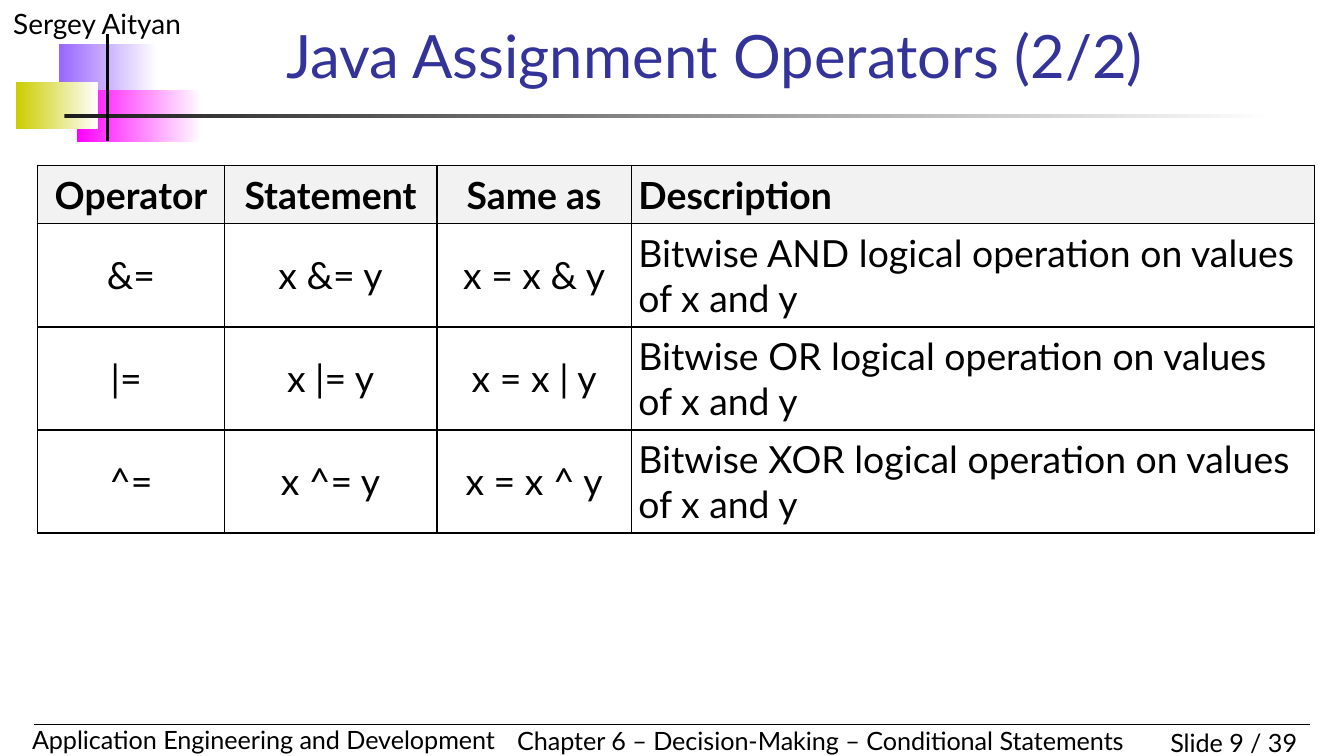
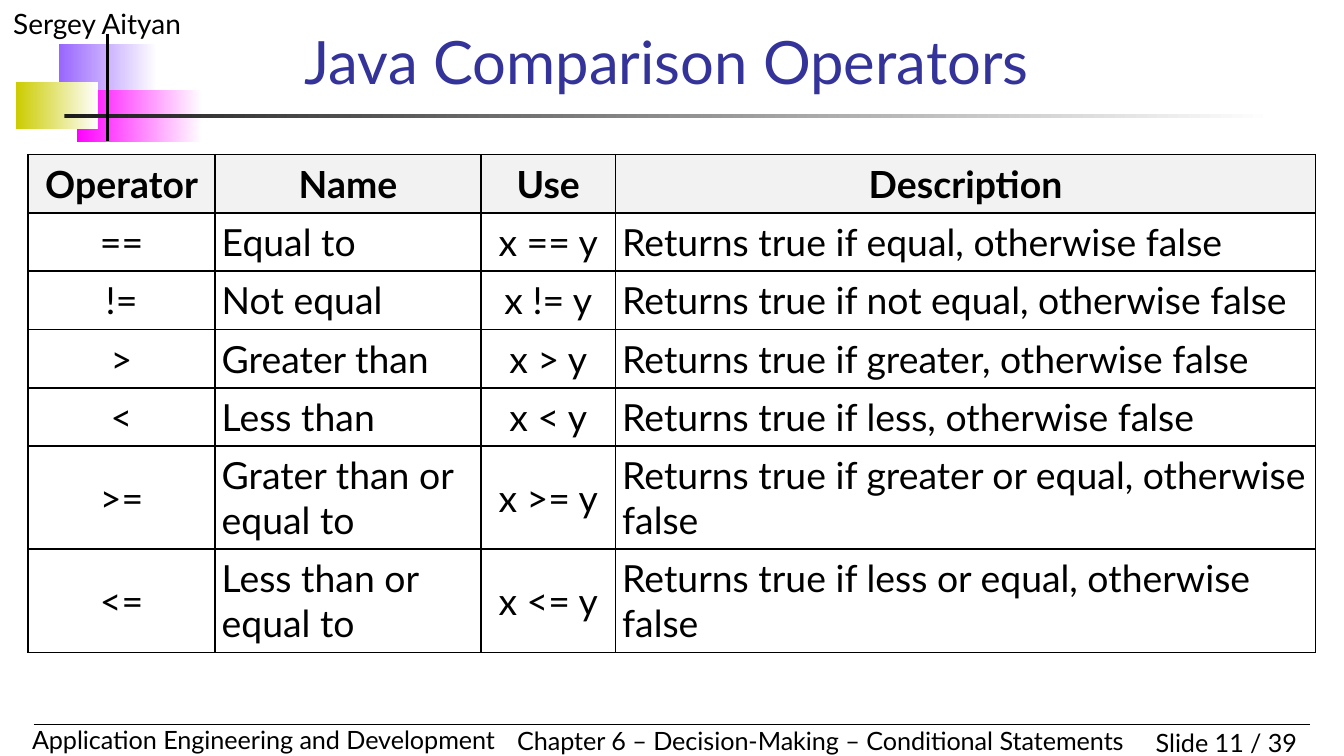
from lxml import etree
from pptx import Presentation
from pptx import util as u
from pptx.dml.color import RGBColor
from pptx.enum import shapes, text
from pptx.oxml import ns

PX = 9144  # 100 px to the inch
SLIDE_WIDTH = 1000
FONT = "Lato"
BLACK = RGBColor(0x00, 0x00, 0x00)
WHITE = RGBColor(0xFF, 0xFF, 0xFF)
TITLE_BLUE = RGBColor(0x33, 0x33, 0x99)
HEADER_GREY = RGBColor(0xF2, 0xF2, 0xF2)
PURPLE = RGBColor(0x99, 0x66, 0xFF)
MAGENTA = RGBColor(0xFF, 0x00, 0xFF)
OLIVE = RGBColor(0xCC, 0xCC, 0x00)
CHARCOAL = RGBColor(0x1C, 0x1C, 0x1C)

ALIGN = {"l": text.PP_ALIGN.LEFT, "c": text.PP_ALIGN.CENTER, "r": text.PP_ALIGN.RIGHT}
MIN_ROW_HEIGHT, CELL_MARGIN = 33, 5

# Left, top, width, height, colour that fades to white
BANDS = [
    (44, 33, 73, 39, PURPLE),
    (57, 67, 93, 39, MAGENTA),
    (12, 61, 61, 35, OLIVE),
    (48, 85, 900, 3, CHARCOAL),
]
# From x, y to x, y, width in points
RULES = [(25, 539, 975, 539, 0.75), (80, 25, 80, 105, 2)]
# Text, box, size, alignment
LABELS = [
    ("Sergey Aityan", (0, 0, 250, 35), 15, "l"),
    ("Slide {number} / 39", (825, 536, 150, 33), 13.5, "r"),
    ("Application Engineering and Development", (14, 534, 370, 33), 13.5, "l"),
    ("Chapter 6 – Decision-Making – Conditional Statements", (375, 535, 476, 33), 13.5, "l"),
]

SLIDES = [
    {
        "number": 9,
        "title": "Java Assignment Operators (2/2)",
        "title_box": (203, 18, 775, 54),
        "table_box": (28, 123, 950, 275),
        "columns": [139, 158, 145, 508],
        "header_align": "cccl",
        "body_align": "cccl",
        "rows": [
            ("Operator", "Statement", "Same as", "Description"),
            ("&=", "x &= y", "x = x & y", "Bitwise AND logical operation on values of x and y"),
            ("|= ", "x |= y", "x = x | y", "Bitwise OR logical operation on values of x and y"),
            ("^=", "x ^= y", "x = x ^ y", "Bitwise XOR logical operation on values of x and y"),
        ],
    },
    {
        "number": 11,
        "title": "Java Comparison Operators",
        "title_box": (217, 23, 758, 54),
        "table_box": (21, 115, 958, 373),
        "columns": [139, 198, 100, 521],
        "header_align": "cccc",
        "body_align": "clcl",
        "rows": [
            ("Operator", "Name", "Use", "Description"),
            ("==", "Equal to", "x == y", "Returns true if equal, otherwise false"),
            ("!=", "Not equal", "x != y", "Returns true if not equal, otherwise false"),
            (">", "Greater than", "x > y", "Returns true if greater, otherwise false"),
            ("<", "Less than", "x < y", "Returns true if less, otherwise false"),
            (">=", "Grater than or equal to", "x >= y",
             "Returns true if greater or equal, otherwise false"),
            ("<=", "Less than or equal to", "x <= y",
             "Returns true if less or equal, otherwise false"),
        ],
    },
]


def emu(lengths):
    return [n * PX for n in lengths]


def write(tf, words, size, color=BLACK, align="l", bold=False):
    tf.text = words
    p = tf.paragraphs[0]
    p.alignment = ALIGN[align]
    font = p.runs[0].font
    font.name, font.size, font.bold = FONT, u.Pt(size), bold
    font.color.rgb = color


def add_text(slide, words, box, size, align="l", color=BLACK, anchor=text.MSO_ANCHOR.TOP):
    tf = slide.shapes.add_textbox(*emu(box)).text_frame
    tf.word_wrap = True
    tf.vertical_anchor = anchor
    write(tf, words, size, color, align)


def add_band(slide, box, color):
    sp = slide.shapes.add_shape(shapes.MSO_SHAPE.RECTANGLE, *emu(box))
    sp.shadow.inherit = False
    sp.line.fill.background()
    sp.fill.gradient()
    sp.fill.gradient_angle = 0
    for stop, shade in zip(sp.fill.gradient_stops, (color, WHITE)):
        stop.color.rgb = shade


def add_rule(slide, ends, width):
    line = slide.shapes.add_connector(shapes.MSO_CONNECTOR.STRAIGHT, *emu(ends))
    line.line.color.rgb = BLACK
    line.line.width = u.Pt(width)
    etree.SubElement(line._element.spPr, ns.qn("a:effectLst"))


def add_frame(slide, number):
    """Draw the bands, rules and labels that every slide carries."""
    for *box, color in BANDS:
        add_band(slide, box, color)
    for words, box, size, align in LABELS:
        add_text(slide, words.format(number=number), box, size, align)
    for *ends, width in RULES:
        add_rule(slide, ends, width)


def add_borders(cell):
    tcPr = cell._tc.get_or_add_tcPr()
    for side in ("lnL", "lnR", "lnT", "lnB"):
        ln = etree.SubElement(tcPr, ns.qn(f"a:{side}"), w=str(u.Pt(1)))
        fill = etree.SubElement(ln, ns.qn("a:solidFill"))
        etree.SubElement(fill, ns.qn("a:srgbClr"), val=str(BLACK))


def add_operator_table(slide, content):
    rows, columns = content["rows"], content["columns"]
    box = emu(content["table_box"])
    frame = slide.shapes.add_table(len(rows), len(columns), *box)
    table = frame.table
    table.first_row = table.horz_banding = False
    for column, width in zip(table.columns, emu(columns)):
        column.width = width
    for i, row in enumerate(table.rows):
        row.height = MIN_ROW_HEIGHT * PX  # rows grow to fit their text
        header = i == 0
        aligns = content["header_align" if header else "body_align"]
        for cell, words, align in zip(row.cells, rows[i], aligns):
            add_borders(cell)
            if header:
                cell.fill.solid()
                cell.fill.fore_color.rgb = HEADER_GREY
            else:
                cell.fill.background()
            cell.vertical_anchor = text.MSO_ANCHOR.MIDDLE
            cell.margin_left = cell.margin_right = CELL_MARGIN * PX
            cell.margin_top = cell.margin_bottom = CELL_MARGIN * PX
            write(cell.text_frame, words, 20, align=align, bold=header)
    frame.height = box[3]


def main():
    prs = Presentation()
    prs.slide_width = SLIDE_WIDTH * PX
    prs.slide_height = prs.slide_width * 9 // 16
    for content in SLIDES:
        slide = prs.slides.add_slide(prs.slide_layouts[6])
        add_frame(slide, content["number"])
        add_text(slide, content["title"], content["title_box"], 32,
                 color=TITLE_BLUE, anchor=text.MSO_ANCHOR.BOTTOM)
        add_operator_table(slide, content)
    prs.save("out.pptx")


if __name__ == "__main__":
    main()
